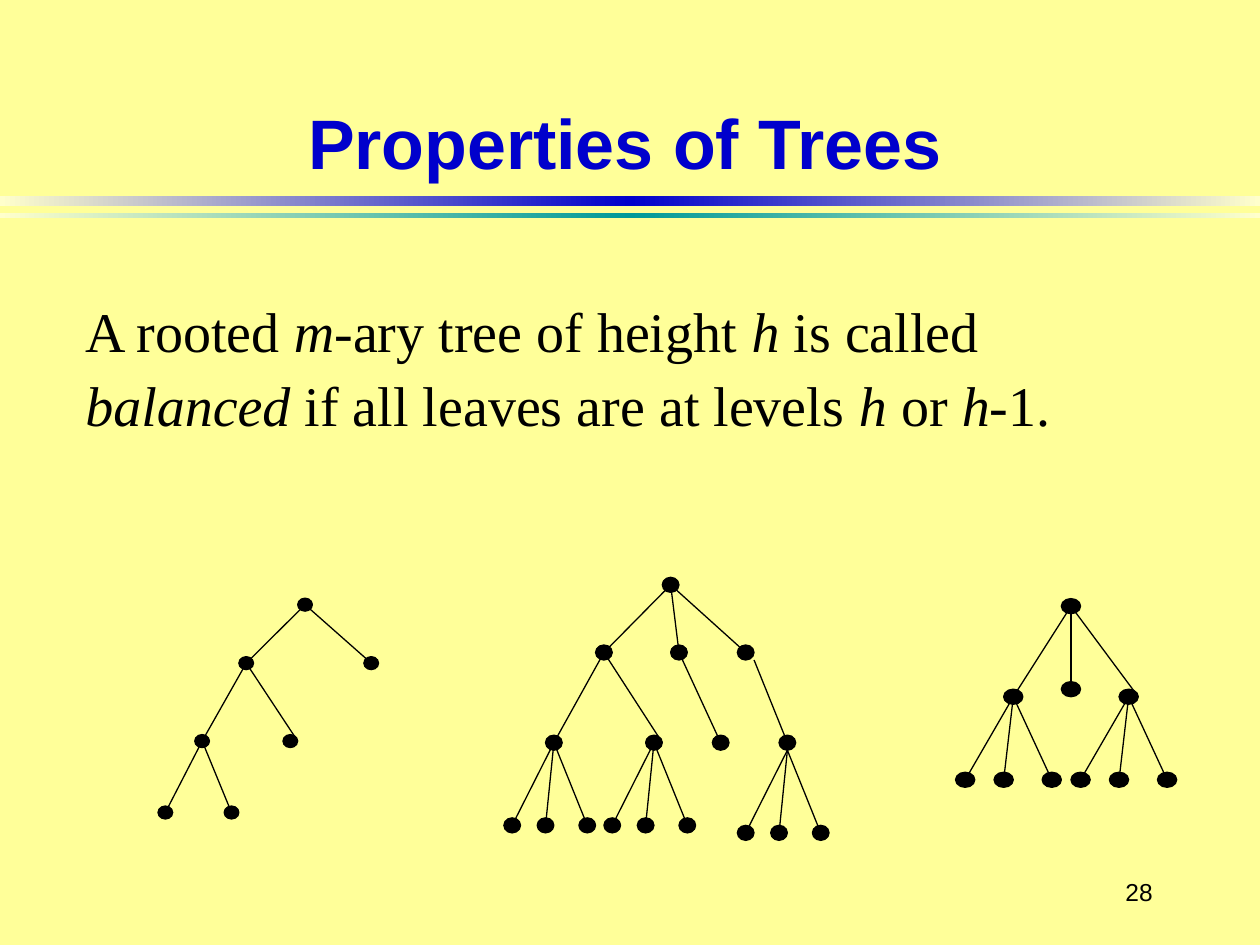
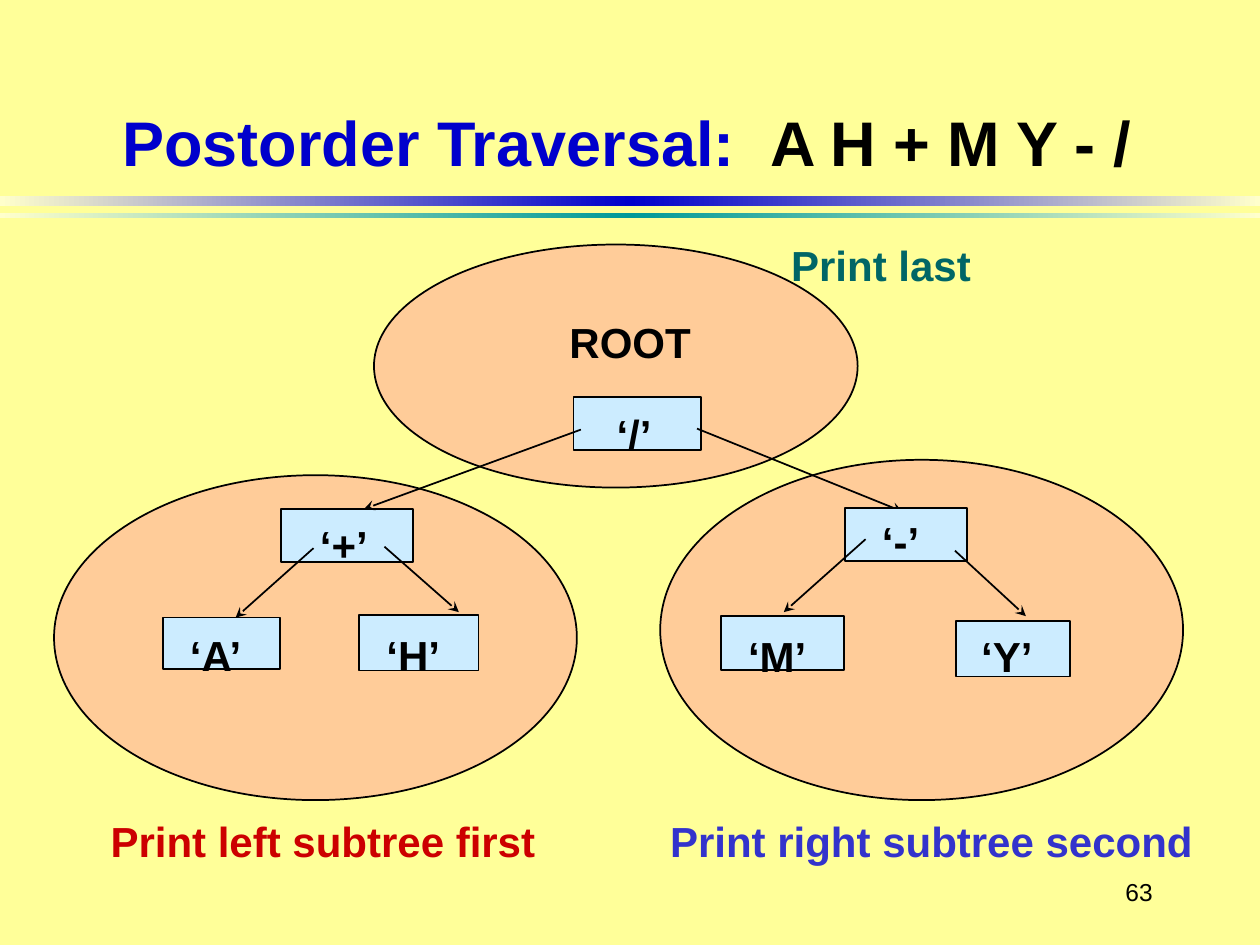
"""Build two slides on trees: balanced trees and postorder traversal."""
from copy import deepcopy

from lxml import etree
from pptx import Presentation
from pptx.dml.color import RGBColor
from pptx.enum.shapes import MSO_CONNECTOR, MSO_SHAPE
from pptx.enum.text import MSO_ANCHOR, MSO_AUTO_SIZE, PP_ALIGN
from pptx.oxml.ns import qn
from pptx.util import Cm, Pt

RECT, ELLIPSE = MSO_SHAPE.RECTANGLE, MSO_SHAPE.OVAL
STRAIGHT = MSO_CONNECTOR.STRAIGHT
LEFT, CENTER, RIGHT = PP_ALIGN.LEFT, PP_ALIGN.CENTER, PP_ALIGN.RIGHT
TOP, MIDDLE, BOTTOM = MSO_ANCHOR.TOP, MSO_ANCHOR.MIDDLE, MSO_ANCHOR.BOTTOM
NO_FIT = MSO_AUTO_SIZE.NONE

SANS, SERIF = "Arial", "Times New Roman"
COLORS = {
    "page": "FFFF99", "band_end": "FFFFCC", "blue": "0000CC", "teal": "009999",
    "black": "000000", "subtree": "FFCC99", "node": "CCECFF",
    "red": "CC0000", "indigo": "3333CC", "green": "006666",
}
BANDS = [((0, 3.96, 25.4, 0.2), "blue"), ((0, 4.29, 25.4, 0.1), "teal")]
NUMBER_BOX = (21.79, 17.35, 1.7, 1.27)

BALANCED = {
    "title": [("Properties of Trees", {})],
    "title_box": (1.7, 0.64, 21.79, 3.18),
    "title_size": 40,
    "number": "28",
}
DEFINITION_BOX = (1.47, 5.72, 21.79, 2.97)
ITALIC = {"italic": True}
DEFINITION = [
    ("A rooted ", {}), ("m", ITALIC), ("-ary tree of height", {}), (" h", ITALIC),
    (" is called ", {}), ("balanced", ITALIC), (" if all leaves are at levels ", {}),
    ("h", ITALIC), (" or ", {}), ("h", ITALIC), ("-1.", {}),
]

# Nodes and edges are in grid steps from the root; a node is two steps wide and high.
TREES = [
    {
        "root": (6.15, 12.19), "span": (4.15, 4.19),
        "nodes": [(0, 0), (-8, 9), (9, 9), (-14, 21), (-2, 21), (-19, 32), (-10, 32)],
        "edges": [((0, 0), [(-8, 9), (9, 9)]), ((-8, 9), [(-14, 21), (-1, 21)]),
                  ((-14, 21), [(-19, 32), (-10, 32)])],
    },
    {
        "root": (13.52, 11.79), "span": (6.22, 5),
        "nodes": [(0, 0), (-8, 9), (1, 9), (9, 9), (-14, 21), (-2, 21), (6, 21), (14, 21),
                  (-19, 32), (-15, 32), (-10, 32), (-7, 32), (-3, 32), (2, 32),
                  (9, 33), (13, 33), (18, 33)],
        "edges": [((0, 0), [(-8, 9), (1, 9), (9, 9)]), ((-8, 9), [(-14, 21), (-1, 21)]),
                  ((1, 9), [(6, 21)]), ((10, 10), [(14, 21)]),
                  ((-14, 21), [(-19, 32), (-15, 32), (-10, 32)]),
                  ((-2, 21), [(-7, 32), (-3, 32), (2, 32)]),
                  ((14, 22), [(9, 33), (13, 33), (18, 33)])],
    },
    {
        "root": (21.59, 12.22), "span": (4.07, 3.5),
        "nodes": [(0, 0), (-6, 12), (0, 11), (6, 12), (-11, 23), (-7, 23), (-2, 23),
                  (1, 23), (5, 23), (10, 23)],
        "edges": [((0, 0), [(-6, 12), (0, 12), (7, 12)]),
                  ((-6, 12), [(-11, 23), (-7, 23), (-2, 23)]),
                  ((6, 12), [(1, 23), (5, 23), (10, 23)])],
    },
]

POSTORDER = {
    "title": [("Postorder Traversal:  ", {}), ("A H + M Y - /", {"color": "black"})],
    "title_box": (0.81, 0.56, 23.65, 3.18),
    "title_size": 36,
    "number": "63",
}
SUBTREES = [(13.31, 9.27, 10.54, 6.86), (7.54, 4.93, 9.75, 4.9), (1.09, 9.58, 10.54, 6.55)]
HALVES = [
    {
        "nodes": [("‘+’", (5.66, 10.26, 2.67, 1.07), (6.2, 10.24)),
                  ("‘A’", (3.28, 12.45, 2.36, 1.04), (3.58, 12.45)),
                  ("‘H’", (7.24, 12.4, 2.41, 1.12), (7.54, 12.45)),
                  ("‘/’", (11.56, 8, 2.57, 1.07), (12.18, 8))],
        "arrows": [((14.05, 8.64), (18.19, 10.31)), ((7.75, 11.02), (9.25, 12.34)),
                   ((6.32, 11.05), (4.75, 12.45)), ((11.71, 8.66), (7.34, 10.26))],
    },
    {
        "nodes": [("‘-’", (17.04, 10.24, 2.46, 1.07), (17.53, 10.16)),
                  ("‘M’", (14.53, 12.42, 2.49, 1.09), (14.83, 12.47)),
                  ("‘Y’", (19.28, 12.52, 2.29, 1.12), (19.53, 12.47))],
        "arrows": [((19.25, 11.1), (20.68, 12.42)), ((17.45, 10.87), (15.8, 12.34))],
    },
]
CALLOUTS = [
    ("Print left subtree first", (1.98, 16.21), "red"),
    ("Print right subtree second", (13.26, 16.21), "indigo"),
    ("Print last", (15.7, 4.6), "green"),
    ("ROOT", (11.23, 6.15), "black"),
]
LABEL_WIDTH, CALLOUT_WIDTH, LABEL_HEIGHT = 2, 11.6, 1.27


def rgb(name):
    return RGBColor.from_string(COLORS[name])


def write(tf, runs, size=24, font=SANS, color="black", bold=False,
          align=LEFT, anchor=TOP, spacing=1.0):
    tf.word_wrap = True
    tf.auto_size = NO_FIT
    tf.vertical_anchor = anchor
    tf.margin_left = tf.margin_right = Cm(0.25)
    tf.margin_top = tf.margin_bottom = Cm(0.13)
    p = tf.paragraphs[0]
    p.alignment, p.line_spacing = align, spacing
    for text, own in runs:
        r = p.add_run()
        r.text = text
        r.font.name, r.font.size, r.font.bold = font, Pt(size), bold
        r.font.italic = own.get("italic", False)
        r.font.color.rgb = rgb(own.get("color", color))


def add_text(slide, box, runs, **fmt):
    sp = slide.shapes.add_textbox(*map(Cm, box))
    write(sp.text_frame, runs, **fmt)


def add_label(slide, text, pos, width, color="black"):
    add_text(slide, (*pos, width, LABEL_HEIGHT), [(text, {})],
             color=color, bold=True, spacing=1.1)


def add_shape(slide, kind, box, fill, weight=1):
    sp = slide.shapes.add_shape(kind, *map(Cm, box))
    sp.shadow.inherit = False
    sp.fill.solid()
    sp.fill.fore_color.rgb = rgb(fill)
    sp.line.color.rgb = rgb("black")
    sp.line.width = Pt(weight)


def add_line(slide, start, end, weight=1, arrow=False):
    line = slide.shapes.add_connector(STRAIGHT, *map(Cm, (*start, *end)))
    line.line.color.rgb = rgb("black")
    line.line.width = Pt(weight)
    if arrow:
        etree.SubElement(line.line._get_or_add_ln(), qn("a:tailEnd"), type="stealth")
    etree.SubElement(line._element.spPr, qn("a:effectLst"))


def add_band(slide, box, color):
    sp = slide.shapes.add_shape(RECT, *map(Cm, box))
    sp.shadow.inherit = False
    sp.line.fill.background()
    sp.fill.gradient()
    sp.fill.gradient_angle = 0
    stops = sp._element.spPr.find(qn("a:gradFill")).find(qn("a:gsLst"))
    stops.append(deepcopy(stops[0]))
    ramp = [(0, "band_end"), (0.5, color), (1, "band_end")]
    for stop, (position, name) in zip(sp.fill.gradient_stops, ramp):
        stop.position = position
        stop.color.rgb = rgb(name)


def new_slide(prs, content):
    slide = prs.slides.add_slide(prs.slide_layouts[5])
    for box, color in BANDS:
        add_band(slide, box, color)
    title = slide.shapes.title
    title.left, title.top, title.width, title.height = map(Cm, content["title_box"])
    write(title.text_frame, content["title"], size=content["title_size"],
          color="blue", bold=True, align=CENTER, anchor=BOTTOM)
    add_text(slide, NUMBER_BOX, [(content["number"], {})],
             size=14, align=RIGHT, anchor=MIDDLE)
    return slide


def draw_tree(slide, tree):
    columns, rows = zip(*tree["nodes"])
    step_x = tree["span"][0] / (max(columns) - min(columns))
    step_y = tree["span"][1] / max(rows)

    def place(column, row):
        return tree["root"][0] + column * step_x, tree["root"][1] + row * step_y

    for column, row in tree["nodes"]:
        box = (*place(column - 1, row - 1), 2 * step_x, 2 * step_y)
        add_shape(slide, ELLIPSE, box, "black", weight=0.75)
    for parent, children in tree["edges"]:
        for child in children:
            add_line(slide, place(*parent), place(*child), weight=0.75)


def build_balanced(prs):
    slide = new_slide(prs, BALANCED)
    add_text(slide, DEFINITION_BOX, DEFINITION, size=32, font=SERIF, spacing=1.1)
    for tree in TREES:
        draw_tree(slide, tree)


def build_postorder(prs):
    slide = new_slide(prs, POSTORDER)
    for box in SUBTREES:
        add_shape(slide, ELLIPSE, box, "subtree")
    for half in HALVES:
        for text, box, pos in half["nodes"]:
            add_shape(slide, RECT, box, "node")
            add_label(slide, text, pos, LABEL_WIDTH)
        for start, end in half["arrows"]:
            add_line(slide, start, end, arrow=True)
    for text, pos, color in CALLOUTS:
        add_label(slide, text, pos, CALLOUT_WIDTH, color)


def main():
    prs = Presentation()
    prs.slide_width, prs.slide_height = Cm(25.4), Cm(19.05)
    background = prs.slide_master.background.fill
    background.solid()
    background.fore_color.rgb = rgb("page")
    build_balanced(prs)
    build_postorder(prs)
    prs.save("out.pptx")


if __name__ == "__main__":
    main()
